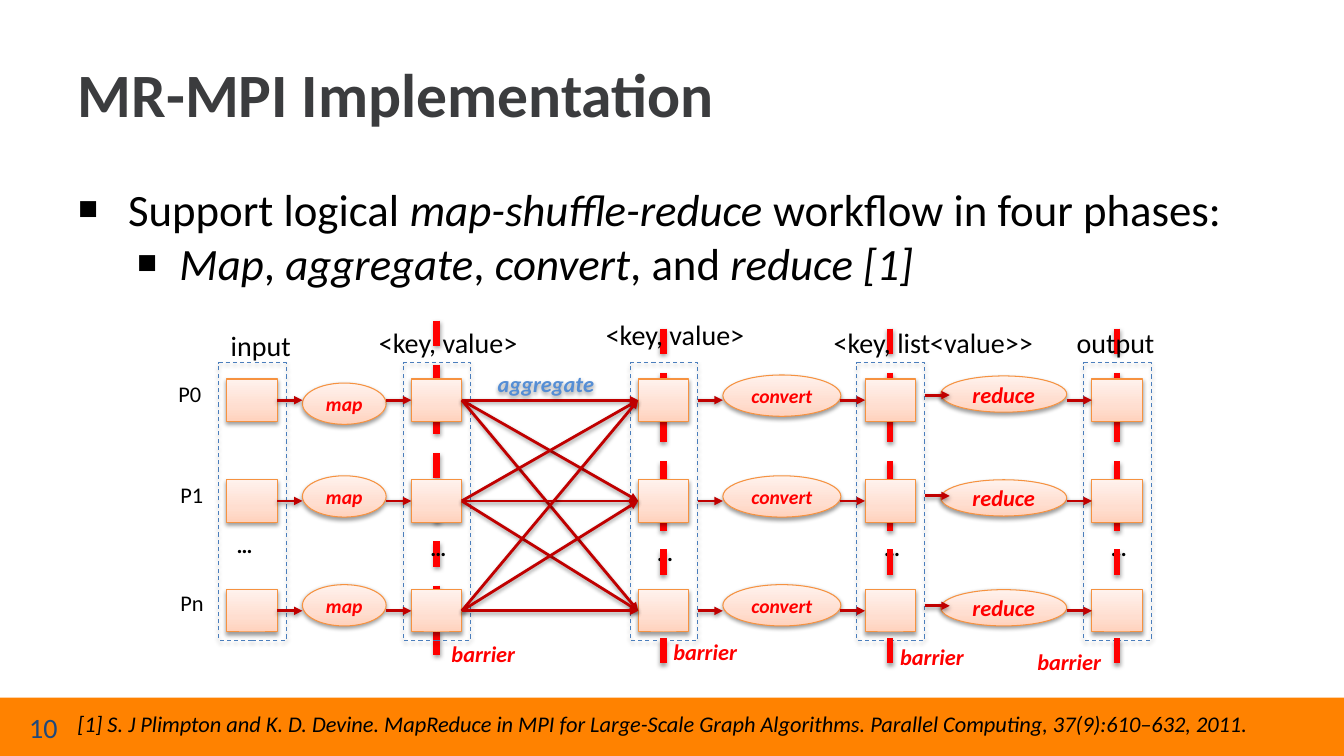
from dataclasses import dataclass
from itertools import product
from typing import NamedTuple, Optional

from pptx import Presentation
from pptx.dml.color import RGBColor
from pptx.enum.dml import MSO_LINE
from pptx.enum.shapes import MSO_CONNECTOR, MSO_SHAPE
from pptx.enum.text import MSO_ANCHOR, MSO_AUTO_SIZE, PP_ALIGN
from pptx.oxml import parse_xml
from pptx.oxml.ns import nsdecls
from pptx.util import Inches, Pt


@dataclass(frozen=True)
class Theme:
    font: str = "Calibri"
    title: str = "3B3C3E"
    text: str = "000000"
    footer: str = "FF8200"
    number: str = "1F497D"
    accent: str = "FF0000"
    arrow: str = "C00000"
    shuffle: str = "558ED5"
    frame: str = "4B7EBC"
    node_line: str = "F69240"
    node_fill: tuple = ((0, "FFD2BD"), (35, "FFDED0"), (100, "FFF2ED"))
    title_size: int = 44
    body_size: int = 32
    label_size: int = 20
    small_size: int = 16
    node_size: int = 14


class Stage(NamedTuple):
    name: str
    x: float
    width: float
    height: float
    tops: tuple
    size: int


class Hop(NamedTuple):
    x: float
    dy: float = 0
    start_col: Optional[int] = None
    end_col: Optional[int] = None


class Label(NamedTuple):
    text: str
    x: float
    y: float
    width: float


T = Theme()
ROWS = (3.97, 4.97, 6.06)
COLUMNS = (2.25, 4.08, 6.33, 8.58, 10.83)
BOX_W, BOX_H = 0.5, 0.42
STAGES = (
    Stage("map", 3, 0.83, 0.41, (3.8, 4.72, 5.8), T.node_size),
    Stage("convert", 7.17, 1.17, 0.41, (3.72, 4.72, 5.8), T.node_size),
    Stage("reduce", 9.33, 1.25, 0.36, (3.73, 4.76, 5.85), T.small_size),
)
HOPS = (Hop(2.75, start_col=0), Hop(3.83, end_col=1), Hop(6.92), Hop(8.33, end_col=3),
        Hop(9.17, dy=-0.05), Hop(10.58, end_col=4))
HOP_W = 0.25
BARRIERS = ((4.33, 3.18), (6.58, 3.26), (8.83, 3.26), (11.08, 3.26))
PROCESSES = (Label("P0", 1.67, 3.72, 0.43), Label("P1", 1.69, 4.72, 0.43),
             Label("Pn", 1.69, 5.8, 0.44))
DOTS = tuple(Label("…", x, y, 0.36) for x, y in
             ((2.25, 5.22), (4.17, 5.25), (6.42, 5.3), (8.67, 5.25), (10.92, 5.25)))
DATA = (Label("input", 2.19, 3.21, 0.8), Label("<key, value>", 3.66, 3.18, 1.59),
        Label("<key, value>", 5.91, 3.1, 1.59), Label("<key, list<value>>", 8.17, 3.18, 2.2),
        Label("output", 10.58, 3.18, 0.98))
BARRIER_LABELS = tuple(Label("barrier", x, y, 0.84) for x, y in
                       ((4.38, 6.3), (6.58, 6.28), (8.83, 6.33), (10.19, 6.38)))


def rgb(color: str) -> RGBColor:
    return RGBColor.from_string(color)


def add_run(p, text: str, *, size: int, color: str = T.text, bold: bool = False,
            italic: bool = False) -> None:
    r = p.add_run()
    r.text = text
    r.font.name, r.font.size, r.font.color.rgb = T.font, Pt(size), rgb(color)
    r.font.bold, r.font.italic = bold, italic


def add_shadow(shape, alpha: int = 38, dist: float = 1.6) -> None:
    shape._element.spPr.append(parse_xml(
        f'<a:effectLst {nsdecls("a")}><a:outerShdw blurRad="{Pt(3.1)}" dist="{Pt(dist)}" '
        f'dir="5400000" rotWithShape="0"><a:srgbClr val="000000">'
        f'<a:alpha val="{alpha * 1000}"/></a:srgbClr></a:outerShdw></a:effectLst>'))


def add_shape(s, kind, x: float, y: float, w: float, h: float):
    return s.shapes.add_shape(kind, Inches(x), Inches(y), Inches(w), Inches(h))


def add_node(s, kind, x: float, y: float, w: float, h: float):
    sp = add_shape(s, kind, x, y, w, h)
    stops = "".join(f'<a:gs pos="{pos * 1000}"><a:srgbClr val="{c}"/></a:gs>'
                    for pos, c in T.node_fill)
    sp._element.spPr.insert(2, parse_xml(
        f'<a:gradFill {nsdecls("a")} rotWithShape="1"><a:gsLst>{stops}</a:gsLst>'
        f'<a:lin ang="16200000" scaled="1"/></a:gradFill>'))
    sp.line.color.rgb, sp.line.width = rgb(T.node_line), Pt(0.75)
    add_shadow(sp)
    return sp


def caption(sp, text: str, **fmt) -> None:
    tf = sp.text_frame
    tf.word_wrap, tf.vertical_anchor = False, MSO_ANCHOR.MIDDLE
    p = tf.paragraphs[0]
    p.alignment = PP_ALIGN.CENTER
    add_run(p, text, bold=True, italic=True, **fmt)


def add_text(s, label: Label, height: float = 0.37, wrap: bool = False, **fmt):
    tf = s.shapes.add_textbox(Inches(label.x), Inches(label.y), Inches(label.width),
                              Inches(height)).text_frame
    tf.word_wrap, tf.auto_size = wrap, MSO_AUTO_SIZE.SHAPE_TO_FIT_TEXT
    add_run(tf.paragraphs[0], label.text, **fmt)
    return tf


def add_line(s, x1: float, y1: float, x2: float, y2: float, color: str, width: float):
    line = s.shapes.add_connector(MSO_CONNECTOR.STRAIGHT, Inches(x1), Inches(y1),
                                  Inches(x2), Inches(y2))
    line.line.color.rgb, line.line.width = rgb(color), Pt(width)
    add_shadow(line)
    return line


def add_arrow(s, x1: float, y1: float, x2: float, y2: float, start=None, end=None) -> None:
    line = add_line(s, x1, y1, x2, y2, T.arrow, 2)
    line.line._get_or_add_ln().append(parse_xml(f'<a:tailEnd {nsdecls("a")} type="triangle"/>'))
    if start is not None:
        line.begin_connect(start, 3)
    if end is not None:
        line.end_connect(end, 1)


def add_barrier(s, x: float, y: float) -> None:
    add_line(s, x, y, x, y + 3.42, T.accent, 4.5).line.dash_style = MSO_LINE.DASH


def add_bullet(p, left: float, hanging: float, runs: tuple) -> None:
    pPr = p._p.get_or_add_pPr()
    pPr.set("marL", str(Inches(left)))
    pPr.set("indent", str(-Inches(hanging)))
    p.space_before = Pt(0)
    for xml in ('buSzPct {} val="140000"', f'buFont {{}} typeface="{T.font}"', 'buChar {} char="▪"'):
        pPr.append(parse_xml(f'<a:{xml.format(nsdecls("a"))}/>'))
    for text, italic in runs:
        add_run(p, text, size=T.body_size, italic=italic)


def place(sp, x: float, y: float, w: float, h: float):
    sp.left, sp.top, sp.width, sp.height = Inches(x), Inches(y), Inches(w), Inches(h)
    sp.text_frame.word_wrap, sp.text_frame.auto_size = True, MSO_AUTO_SIZE.NONE
    return sp.text_frame


def add_heading(s) -> None:
    tf = place(s.shapes.title, 0.67, 0.3, 12, 1.25)
    tf.vertical_anchor = MSO_ANCHOR.MIDDLE
    p = tf.paragraphs[0]
    p.alignment = PP_ALIGN.LEFT
    add_run(p, "MR-MPI Implementation", size=T.title_size, color=T.title, bold=True)
    tf = place(s.placeholders[1], 0.67, 1.75, 12, 4.95)
    add_bullet(tf.paragraphs[0], 0.5, 0.5, (
        ("Support logical ", False), ("map-shuffle-reduce ", True),
        ("workflow in four phases:", False)))
    p = tf.add_paragraph()
    p.level = 1
    add_bullet(p, 1.01, 0.43, (
        ("Map", True), (", ", False), ("aggregate", True), (", ", False),
        ("convert", True), (", and ", False), ("reduce [1]", True)))


def add_diagram(s) -> None:
    # Phases, barriers and data frames
    add_barrier(s, *BARRIERS[0])
    for stage in STAGES:
        for top in stage.tops:
            sp = add_node(s, MSO_SHAPE.OVAL, stage.x, top, stage.width, stage.height)
            caption(sp, stage.name, size=stage.size, color=T.accent)
    for dots in DOTS:
        add_text(s, dots, size=T.small_size, bold=True)
    for x in COLUMNS:
        frame = add_shape(s, MSO_SHAPE.RECTANGLE, x - 0.08, 3.6, 0.67, 2.75)
        frame.fill.background()
        frame.line.color.rgb, frame.line.width = rgb(T.frame), Pt(0.75)
        frame.line.dash_style = MSO_LINE.DASH
        add_shadow(frame, 35, 1.8)
    for x, y in BARRIERS[1:]:
        add_barrier(s, x, y)

    # Data boxes, then the arrows that join them
    boxes = [[add_node(s, MSO_SHAPE.RECTANGLE, x, y - BOX_H / 2, BOX_W, BOX_H) for y in ROWS]
             for x in COLUMNS]
    for hop, (row, y) in product(HOPS, enumerate(ROWS)):
        start = None if hop.start_col is None else boxes[hop.start_col][row]
        end = None if hop.end_col is None else boxes[hop.end_col][row]
        add_arrow(s, hop.x, y + hop.dy, hop.x + HOP_W, y + hop.dy, start, end)
    for (i, y1), (j, y2) in product(enumerate(ROWS), repeat=2):
        add_arrow(s, COLUMNS[1] + BOX_W, y1, COLUMNS[2], y2, boxes[1][i], boxes[2][j])

    # Labels
    shuffle = add_shape(s, MSO_SHAPE.OVAL, 4.58, 3.6, 1.67, 0.41)
    shuffle.fill.background()
    shuffle.line.fill.background()
    add_shadow(shuffle)
    caption(shuffle, "aggregate", size=T.small_size, color=T.shuffle)
    for label in PROCESSES:
        add_text(s, label, size=T.small_size)
    for label in DATA:
        add_text(s, label, 0.44, size=T.label_size)
    for label in BARRIER_LABELS:
        add_text(s, label, size=T.small_size, color=T.accent, bold=True, italic=True)


def add_footer(s) -> None:
    bar = add_shape(s, MSO_SHAPE.RECTANGLE, 0, 6.92, 13.33, 0.58)
    bar.shadow.inherit = False
    bar.fill.solid()
    bar.fill.fore_color.rgb = rgb(T.footer)
    bar.line.fill.background()
    add_text(s, Label("[1] S. J Plimpton and K. D. Devine. MapReduce in MPI for Large-Scale Graph "
                      "Algorithms. Parallel Computing, 37(9):610–632, 2011.", 0.67, 7, 12),
             wrap=True, size=T.small_size, italic=True)
    tf = add_text(s, Label("10", 0.19, 7.02, 2.12), 0.4, wrap=True, size=T.label_size,
                  color=T.number)
    tf.auto_size, tf.vertical_anchor = MSO_AUTO_SIZE.NONE, MSO_ANCHOR.MIDDLE


def main() -> None:
    prs = Presentation()
    prs.slide_width, prs.slide_height = Inches(13.33), Inches(7.5)
    s = prs.slides.add_slide(prs.slide_layouts[1])
    add_heading(s)
    add_diagram(s)
    add_footer(s)
    prs.save("out.pptx")


if __name__ == "__main__":
    main()
